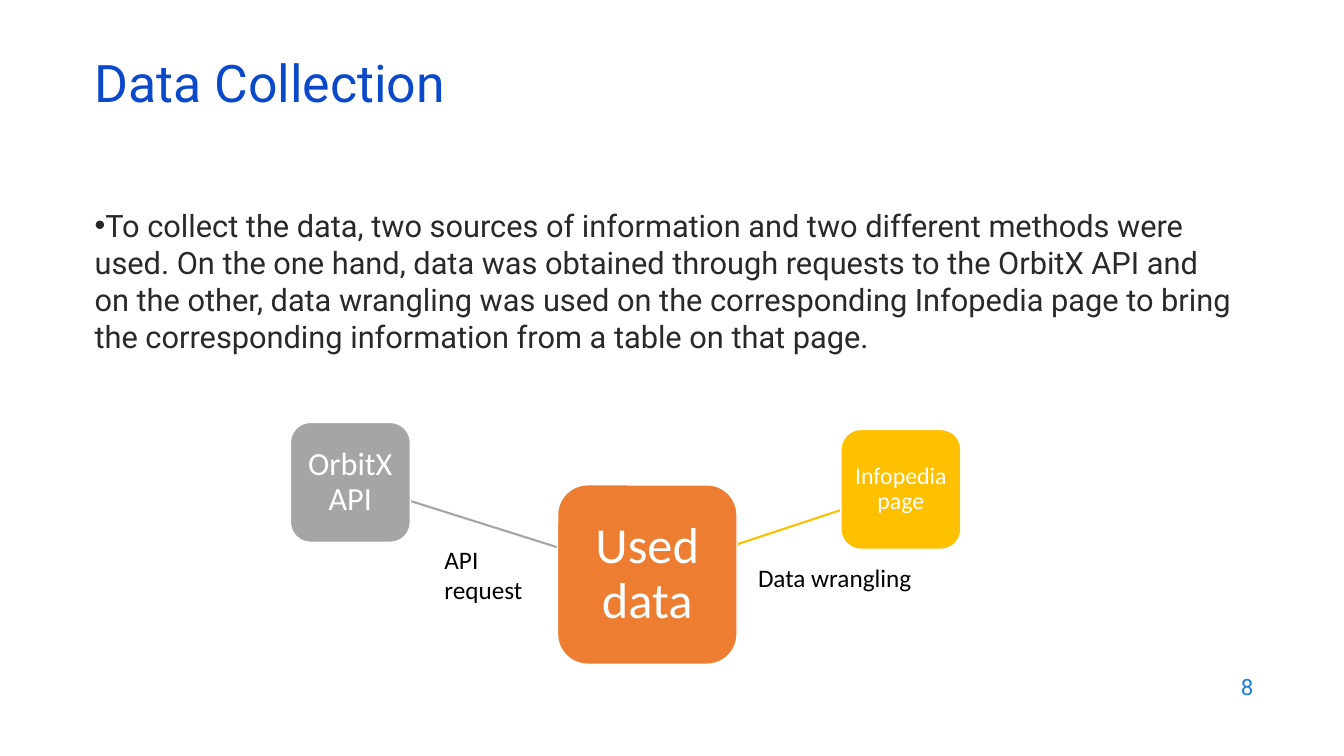
from lxml.etree import SubElement
from pptx import Presentation
from pptx.dml.color import RGBColor
from pptx.enum.shapes import MSO_CONNECTOR as Connector, MSO_SHAPE as Preset
from pptx.enum.text import MSO_ANCHOR as Anchor, PP_ALIGN as Align
from pptx.oxml.ns import qn
from pptx.util import Inches, Pt


class Theme:
    heading_font, diagram_font = "Roboto", "Calibri"
    title, body, number = "0B49CB", "292929", "1C7DDB"
    orange, grey, yellow = "ED7D31", "A5A5A5", "FFC000"
    white, black = "FFFFFF", "000000"
    title_size, body_size, number_size, label_size = 37, 22, 16, 18
    hub_size, api_size, wiki_size = 36, 23, 17


def write(shape, lines, font, size, color, anchor=Anchor.TOP, inset=None, bullet=None, **layout):
    frame = shape.text_frame
    frame.word_wrap = True
    frame.vertical_anchor = anchor
    if inset is not None:
        for side in ("left", "top", "right", "bottom"):
            setattr(frame, f"margin_{side}", Inches(inset))
    for index, line in enumerate(lines):
        para = frame.paragraphs[0] if index == 0 else frame.add_paragraph()
        for name, value in layout.items():
            setattr(para, name, value)
        if bullet:
            properties = para._p.get_or_add_pPr()
            SubElement(properties, qn("a:buFont"), typeface="Arial")
            SubElement(properties, qn("a:buChar"), char=bullet)
        span = para.add_run()
        span.text = line
        for name, value in {"name": font, "size": Pt(size)}.items():
            setattr(span.font, name, value)
        span.font.color.rgb = RGBColor.from_string(color)


deck = Presentation()
deck.slide_width, deck.slide_height = Inches(13.33), Inches(7.5)
page = deck.slides.add_slide(deck.slide_layouts[6])

# Title, body text and page number
title = page.shapes.add_textbox(Inches(0.84), Inches(0.59), Inches(11.5), Inches(0.6))
write(title, ["Data Collection"], Theme.heading_font, Theme.title_size, Theme.title,
      Anchor.MIDDLE, line_spacing=0.7)

body = page.shapes.add_textbox(Inches(0.84), Inches(2), Inches(11.5), Inches(1.7))
write(body, ["To collect the data, two sources of information and two different methods were used. "
             "On the one hand, data was obtained through requests to the OrbitX API and on the other, "
             "data wrangling was used on the corresponding Infopedia page to bring the corresponding "
             "information from a table on that page."],
      Theme.heading_font, Theme.body_size, Theme.body, bullet="•")

number = page.shapes.add_textbox(Inches(9.53), Inches(6.59), Inches(3), Inches(0.44))
write(number, ["8"], Theme.heading_font, Theme.number_size, Theme.number,
      Anchor.MIDDLE, alignment=Align.RIGHT)

# Lines from the hub to its sources
for x1, y1, x2, y2, color in (
    (5.53, 5.43, 4.07, 4.97, Theme.grey),
    (7.31, 5.4, 8.34, 5.06, Theme.yellow),
):
    link = page.shapes.add_connector(
        Connector.STRAIGHT, Inches(x1), Inches(y1), Inches(x2), Inches(y2))
    link.line.color.rgb = RGBColor.from_string(color)
    link.line.width = Pt(1.5)
    SubElement(link._element.spPr, qn("a:effectLst"))

# Hub and source nodes
for text, left, top, side, color, size, inset in (
    ("Used data", 5.53, 4.81, 1.78, Theme.orange, Theme.hub_size, 0.1),
    ("OrbitX API", 2.88, 4.19, 1.19, Theme.grey, Theme.api_size, 0.06),
    ("Infopedia page", 8.34, 4.26, 1.19, Theme.yellow, Theme.wiki_size, 0.04),
):
    node = page.shapes.add_shape(
        Preset.ROUNDED_RECTANGLE, Inches(left), Inches(top), Inches(side), Inches(side))
    node.shadow.inherit = False
    node.fill.solid()
    node.fill.fore_color.rgb = RGBColor.from_string(color)
    node.line.color.rgb = RGBColor.from_string(Theme.white)
    node.line.width = Pt(1)
    write(node, [text], Theme.diagram_font, size, Theme.white, Anchor.MIDDLE, inset,
          alignment=Align.CENTER, line_spacing=0.9)

# Method labels
for lines, left, top, height in (
    (["Data wrangling"], 7.42, 5.53, 0.4),
    (["API", "request"], 4.31, 5.35, 0.71),
):
    label = page.shapes.add_textbox(Inches(left), Inches(top), Inches(4.57), Inches(height))
    write(label, lines, Theme.diagram_font, Theme.label_size, Theme.black)

deck.save("out.pptx")
